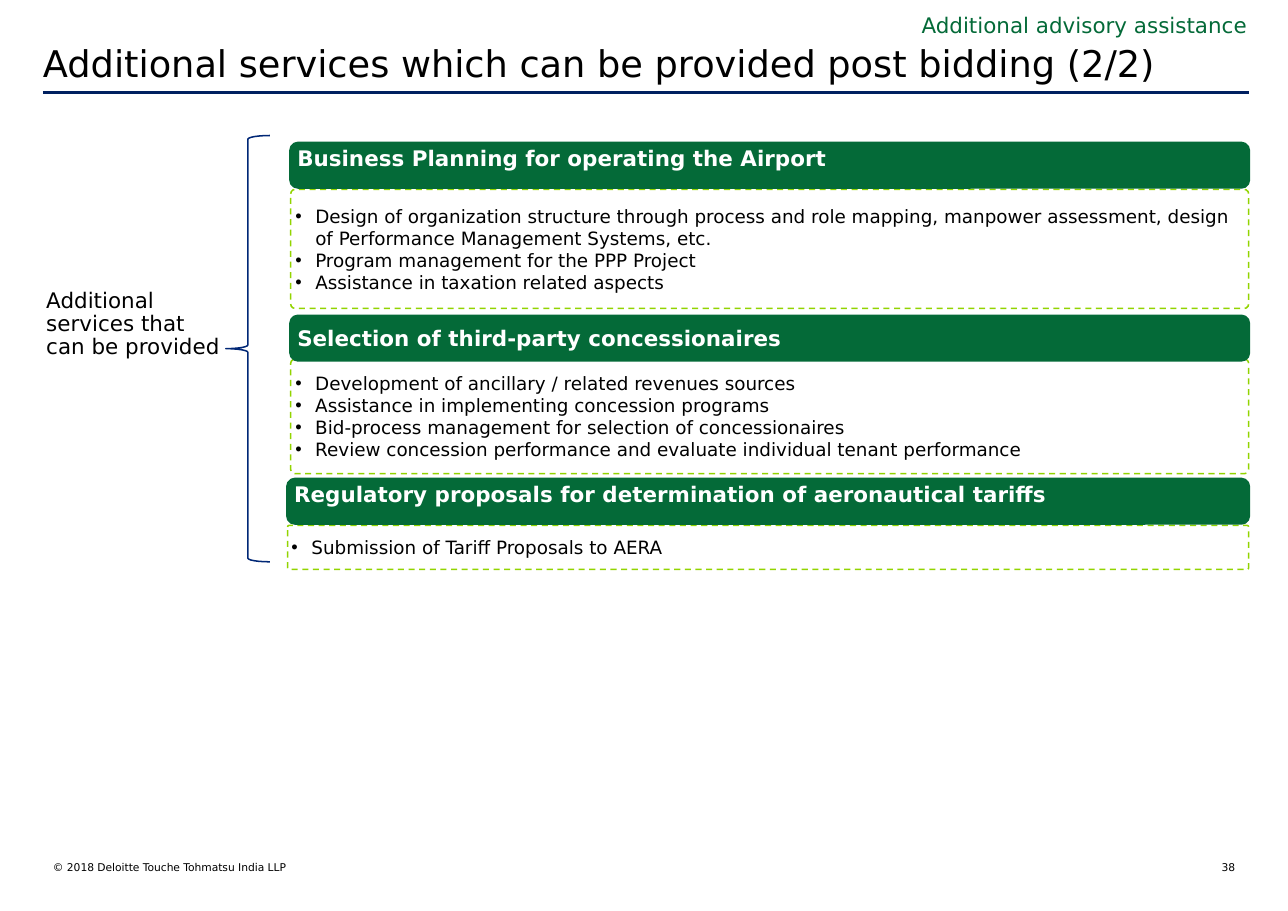
from dataclasses import dataclass

import lxml.etree
import pptx
import pptx.dml.color
import pptx.enum.dml
import pptx.enum.shapes
import pptx.enum.text
import pptx.oxml.ns
import pptx.presentation
import pptx.shapes.base
import pptx.slide
import pptx.text.text
import pptx.util

Pt = pptx.util.Pt
Align = pptx.enum.text.PP_ALIGN
Anchor = pptx.enum.text.MSO_ANCHOR
Shapes = pptx.enum.shapes.MSO_SHAPE
qn = pptx.oxml.ns.qn


@dataclass(frozen=True)
class Theme:
    font: str = "DejaVu Sans"
    text: str = "000000"
    light: str = "FFFFFF"
    green: str = "046A38"
    lime: str = "92D400"
    brace: str = "002776"
    rule: str = "002060"
    title_size: float = 24
    heading_size: float = 14
    list_size: float = 12
    footer_size: float = 7


@dataclass(frozen=True)
class Area:
    left: float
    top: float
    width: float
    height: float


@dataclass(frozen=True)
class Margins:
    left: float = 0
    top: float = 0
    right: float = 0
    bottom: float = 0


@dataclass(frozen=True)
class Service:
    placeholder: int
    left: float
    heading_top: float
    heading_anchor: Anchor
    list_top: float
    list_height: float
    heading: str
    items: tuple[str, ...]


THEME = Theme()
RIGHT_EDGE = 816
HEADING_HEIGHT = 28.8
BULLET_INDENT = 13
DEFAULT_MARGINS = Margins(7.2, 3.6, 7.2, 3.6)

SERVICES = (
    Service(2, 190, 93.6, Anchor.TOP, 123.8, 77.8, "Business Planning for operating the Airport", (
        "Design of organization structure through process and role mapping, manpower assessment, "
        "design of Performance Management Systems, etc.",
        "Program management for the PPP Project",
        "Assistance in taxation related aspects",
    )),
    Service(3, 190, 206.6, Anchor.MIDDLE, 234.7, 74.9, "Selection of third-party concessionaires", (
        "Development of ancillary / related revenues sources",
        "Assistance in implementing concession programs",
        "Bid-process management for selection of concessionaires",
        "Review concession performance and evaluate individual tenant performance",
    )),
    Service(4, 188, 313.2, Anchor.TOP, 343.4, 28.8,
            "Regulatory proposals for determination of aeronautical tariffs",
            ("Submission of Tariff Proposals to AERA",)),
)


def color(value: str) -> pptx.dml.color.RGBColor:
    return pptx.dml.color.RGBColor.from_string(value)


def place(box: pptx.shapes.base.BaseShape, area: Area) -> None:
    box.left, box.top = Pt(area.left), Pt(area.top)
    box.width, box.height = Pt(area.width), Pt(area.height)


def add_bullet(para: pptx.text.text._Paragraph) -> None:
    props = para._p.get_or_add_pPr()
    props.set("marL", str(Pt(BULLET_INDENT)))
    props.set("indent", str(-Pt(BULLET_INDENT)))
    lxml.etree.SubElement(props, qn("a:buFont")).set("typeface", "Arial")
    lxml.etree.SubElement(props, qn("a:buChar")).set("char", "•")


def remove_bullet(para: pptx.text.text._Paragraph) -> None:
    props = para._p.get_or_add_pPr()
    props.set("marL", "0")
    props.set("indent", "0")
    lxml.etree.SubElement(props, qn("a:buNone"))


def write(box: pptx.shapes.base.BaseShape, lines: tuple[str, ...], size: float, ink: str = THEME.text,
          margins: Margins = Margins(), anchor: Anchor = Anchor.TOP, align: Align = Align.LEFT,
          bold: bool = False, bullets: bool = False, spacing: float | pptx.util.Length = 1.0) -> None:
    frame = box.text_frame
    frame.word_wrap = True
    frame.auto_size = pptx.enum.text.MSO_AUTO_SIZE.NONE
    frame.vertical_anchor = anchor
    frame.margin_left, frame.margin_top = Pt(margins.left), Pt(margins.top)
    frame.margin_right, frame.margin_bottom = Pt(margins.right), Pt(margins.bottom)
    for index, line in enumerate(lines):
        para = frame.add_paragraph() if index else frame.paragraphs[0]
        if bullets:
            add_bullet(para)
        else:
            remove_bullet(para)
        para.alignment = align
        para.space_before = para.space_after = Pt(0)
        para.line_spacing = spacing
        span = para.add_run()
        span.text = line
        span.font.name, span.font.size, span.font.bold = THEME.font, Pt(size), bold
        span.font.color.rgb = color(ink)


def add_text(page: pptx.slide.Slide, area: Area, text: str, size: float, **style) -> None:
    box = page.shapes.add_textbox(Pt(area.left), Pt(area.top), Pt(area.width), Pt(area.height))
    write(box, (text,), size, **style)


def add_brace(page: pptx.slide.Slide, area: Area) -> None:
    brace = page.shapes.add_shape(Shapes.LEFT_BRACE, Pt(area.left), Pt(area.top),
                                  Pt(area.width), Pt(area.height))
    brace.shadow.inherit = False
    brace.fill.background()
    brace.line.color.rgb = color(THEME.brace)
    brace.line.width = Pt(1)


def add_rule(page: pptx.slide.Slide, left: float, right: float, top: float) -> None:
    rule = page.shapes.add_connector(pptx.enum.shapes.MSO_CONNECTOR.STRAIGHT,
                                     Pt(left), Pt(top), Pt(right), Pt(top))
    rule.line.color.rgb = color(THEME.rule)
    rule.line.width = Pt(2.25)
    lxml.etree.SubElement(rule._element.spPr, qn("a:effectLst"))


def fill_list(box: pptx.shapes.base.BaseShape, service: Service) -> None:
    place(box, Area(service.left, service.list_top, RIGHT_EDGE - service.left, service.list_height))
    outline = lxml.etree.SubElement(box._element.spPr, qn("a:prstGeom"))
    outline.set("prst", "roundRect")
    guides = lxml.etree.SubElement(outline, qn("a:avLst"))
    corner = lxml.etree.SubElement(guides, qn("a:gd"))
    corner.set("name", "adj")
    corner.set("fmla", "val 3700")
    box.line.color.rgb = color(THEME.lime)
    box.line.width = Pt(1)
    box.line.dash_style = pptx.enum.dml.MSO_LINE.DASH
    write(box, service.items, THEME.list_size, margins=Margins(left=2.2),
          anchor=Anchor.MIDDLE, bullets=True)


def add_heading(page: pptx.slide.Slide, service: Service) -> None:
    bar = page.shapes.add_shape(Shapes.ROUNDED_RECTANGLE, Pt(service.left), Pt(service.heading_top),
                                Pt(RIGHT_EDGE - service.left), Pt(HEADING_HEIGHT))
    bar.shadow.inherit = False
    bar.fill.solid()
    bar.fill.fore_color.rgb = color(THEME.green)
    bar.line.color.rgb = color(THEME.green)
    bar.line.width = Pt(2)
    write(bar, (service.heading,), THEME.heading_size, THEME.light, Margins(left=2.9),
          service.heading_anchor, bold=True)


def build() -> pptx.presentation.Presentation:
    deck = pptx.Presentation()
    deck.slide_width, deck.slide_height = Pt(841.7), Pt(595.4)
    page = deck.slides.add_slide(deck.slide_layouts.get_by_name("Comparison"))
    bodies = {box.placeholder_format.idx: box for box in page.placeholders}

    title = page.shapes.title
    place(title, Area(20.9, 25.9, 795.6, 33.8))
    write(title, ("Additional services which can be provided post bidding (2/2)",),
          THEME.title_size, margins=DEFAULT_MARGINS, spacing=Pt(26))
    add_text(page, Area(180.7, 4.3, 641.5, 24.5), "Additional advisory assistance",
             THEME.heading_size, ink=THEME.green, margins=DEFAULT_MARGINS, align=Align.RIGHT)
    add_rule(page, 28, 816.5, 60.5)

    label = bodies[1]
    place(label, Area(28, 185.8, 119.5, 53.3))
    write(label, ("Additional services that can be provided",), THEME.heading_size,
          margins=Margins(2.2, 3.6, 0, 3.6), spacing=0.9)
    add_brace(page, Area(147.6, 88.6, 28.8, 278.6))

    for service in SERVICES:
        fill_list(bodies[service.placeholder], service)
        add_heading(page, service)

    add_text(page, Area(34.6, 562.3, 369.4, 17.3), "© 2018 Deloitte Touche Tohmatsu India LLP",
             THEME.footer_size)
    add_text(page, Area(785.5, 562.3, 21.6, 8.6), "38", THEME.footer_size, align=Align.RIGHT)
    return deck


if __name__ == "__main__":
    build().save("out.pptx")
